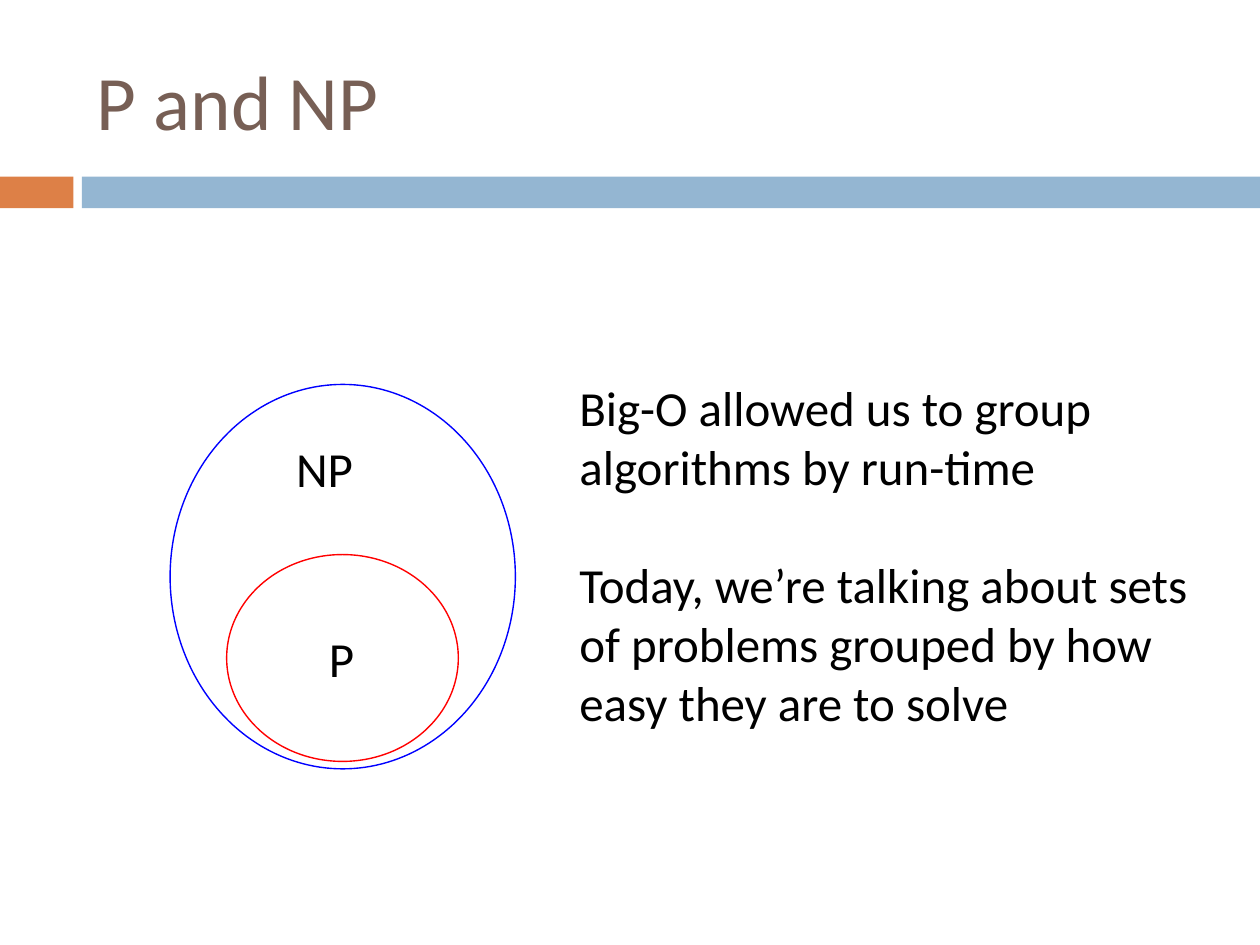
from dataclasses import dataclass

from pptx import Presentation
from pptx.dml.color import RGBColor
from pptx.enum.shapes import MSO_SHAPE
from pptx.enum.text import MSO_ANCHOR, MSO_AUTO_SIZE
from pptx.slide import Slide
from pptx.util import Cm, Pt

RECT = MSO_SHAPE.RECTANGLE
OVAL = MSO_SHAPE.OVAL
TOP = MSO_ANCHOR.TOP
MIDDLE = MSO_ANCHOR.MIDDLE
GROW = MSO_AUTO_SIZE.SHAPE_TO_FIT_TEXT
FIXED = MSO_AUTO_SIZE.NONE


@dataclass(frozen=True)
class Theme:
    font: str = "Calibri"
    title: str = "775F55"
    ink: str = "000000"
    accent: str = "DD8047"
    band: str = "94B6D2"
    easy: str = "FF0000"
    hard: str = "0000FF"
    head: float = 44
    body: float = 28
    gap: float = 34
    line: float = 0.79


@dataclass(frozen=True)
class Box:
    left: float
    top: float
    width: float
    height: float

    def frame(self) -> tuple:
        return Cm(self.left), Cm(self.top), Cm(self.width), Cm(self.height)


@dataclass(frozen=True)
class Bar:
    box: Box
    color: str


@dataclass(frozen=True)
class Ring:
    box: Box
    color: str


@dataclass(frozen=True)
class Label:
    box: Box
    lines: tuple[str, ...]
    size: float
    color: str
    wrap: bool = True
    anchor: MSO_ANCHOR = TOP
    fit: MSO_AUTO_SIZE = GROW


THEME = Theme()

# Header bars
BARS = [
    Bar(Box(0, 3.56, 1.48, 0.64), THEME.accent),
    Bar(Box(1.65, 3.56, 23.75, 0.64), THEME.band),
]

# Nested problem sets
RINGS = [
    Ring(Box(4.57, 11.18, 4.67, 4.17), THEME.easy),
    Ring(Box(3.43, 7.75, 6.96, 7.75), THEME.hard),
]

# Title, set names and explanation
LABELS = [
    Label(Box(1.7, 0.64, 22.66, 2.74), ("P and NP",), THEME.head,
          THEME.title, anchor=MIDDLE, fit=FIXED),
    Label(Box(6.38, 12.55, 1.02, 1.45), ("P",), THEME.body, THEME.ink, False),
    Label(Box(5.72, 8.71, 1.68, 1.45), ("NP",), THEME.body, THEME.ink, False),
    Label(Box(11.43, 7.49, 12.88, 7.44),
          ("Big-O allowed us to group algorithms by run-time",
           "Today, we’re talking about sets of problems grouped by how "
           "easy they are to solve"),
          THEME.body, THEME.ink),
]


def draw_bar(slide: Slide, bar: Bar) -> None:
    shape = slide.shapes.add_shape(RECT, *bar.box.frame())
    shape.shadow.inherit = False
    shape.fill.solid()
    shape.fill.fore_color.rgb = RGBColor.from_string(bar.color)
    shape.line.fill.background()


def draw_ring(slide: Slide, ring: Ring) -> None:
    shape = slide.shapes.add_shape(OVAL, *ring.box.frame())
    shape.shadow.inherit = False
    shape.fill.background()
    shape.line.color.rgb = RGBColor.from_string(ring.color)
    shape.line.width = Pt(THEME.line)


def draw_label(slide: Slide, label: Label) -> None:
    frame = slide.shapes.add_textbox(*label.box.frame()).text_frame
    frame.word_wrap = label.wrap
    frame.auto_size = label.fit
    frame.vertical_anchor = label.anchor
    for index, line in enumerate(label.lines):
        para = frame.add_paragraph() if index else frame.paragraphs[0]
        if index:
            para.space_before = Pt(THEME.gap)
        run = para.add_run()
        run.text = line
        run.font.name = THEME.font
        run.font.size = Pt(label.size)
        run.font.color.rgb = RGBColor.from_string(label.color)


def main() -> None:
    deck = Presentation()
    deck.slide_width, deck.slide_height = Cm(25.4), Cm(19.05)
    slide = deck.slides.add_slide(deck.slide_layouts[6])
    for bar in BARS:
        draw_bar(slide, bar)
    for ring in RINGS:
        draw_ring(slide, ring)
    for label in LABELS:
        draw_label(slide, label)
    deck.save("out.pptx")


if __name__ == "__main__":
    main()
